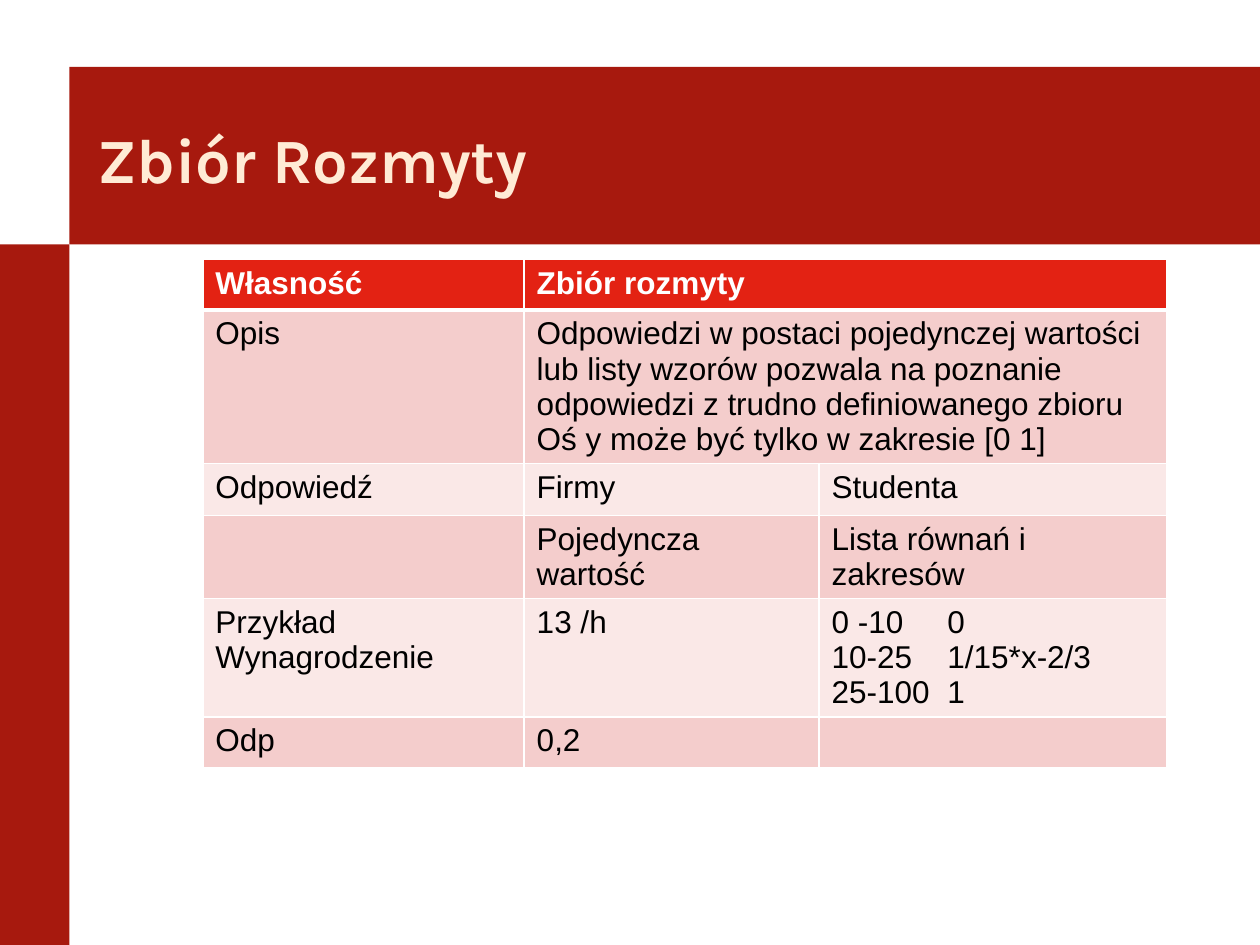
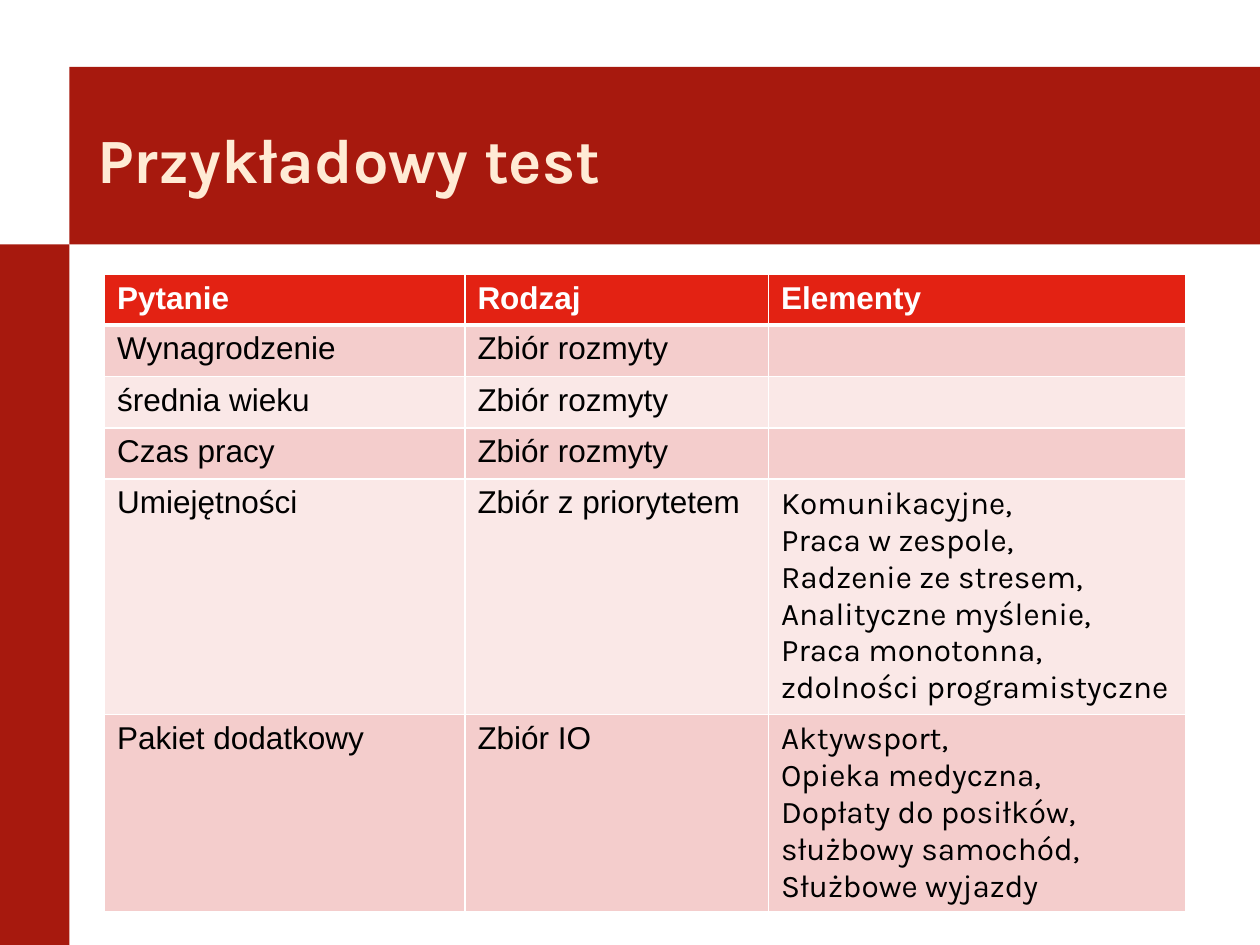
import lxml.etree
import pptx
import pptx.dml.color
import pptx.enum.shapes
import pptx.enum.text
import pptx.oxml.ns
import pptx.util

Inches = pptx.util.Inches
Pt = pptx.util.Pt
qn = pptx.oxml.ns.qn

BAND, CREAM, WHITE, BLACK = "A7190E", "FFEBD5", "FFFFFF", "000000"
HEADER, ROW_TINTS = "E32213", ("F4CDCC", "FAE8E7")
BANDS = ((0.55, 0.53, 9.45, 1.41), (0, 1.94, 0.55, 5.56))
TITLE_BOX = (0.67, 0.69, 9.21, 1.13)
TITLE_FONT = {"name": "Karla", "size": Pt(36), "bold": True}
HEADER_FONT = {"name": "Arial", "size": Pt(18), "bold": True}
BODY_FONT = {**HEADER_FONT, "bold": False}
LIST_FONT = {**BODY_FONT, "name": "Karla"}


def rgb(value):
    """Turn a hex string into a colour."""
    return pptx.dml.color.RGBColor.from_string(value)


def assign(target, values):
    """Set every attribute in values on target."""
    for name, value in values.items():
        setattr(target, name, value)


class Deck:
    """Hold the shared style and the current slide."""

    def __init__(self):
        """Start an empty 10 by 7.5 inch presentation."""
        self.presentation = pptx.Presentation()
        assign(self.presentation, {"slide_width": Inches(10), "slide_height": Inches(7.5)})
        self.slide = None

    def add_slide(self, heading):
        """Add a slide with its title and the bands behind it."""
        self.slide = self.presentation.slides.add_slide(self.presentation.slide_layouts[5])
        title = self.slide.shapes.title
        assign(title, dict(zip(("left", "top", "width", "height"), map(Inches, TITLE_BOX))))
        title.text_frame.text = heading
        assign(title.text_frame, {
            "vertical_anchor": pptx.enum.text.MSO_ANCHOR.MIDDLE,
            "auto_size": pptx.enum.text.MSO_AUTO_SIZE.NONE,
            "word_wrap": True,
        })
        self.style_text(title.text_frame, TITLE_FONT, CREAM)
        for box in BANDS:
            title.element.addprevious(self.add_band(box).element)

    def add_band(self, box):
        """Add a plain red rectangle."""
        band = self.slide.shapes.add_shape(
            pptx.enum.shapes.MSO_SHAPE.RECTANGLE, *map(Inches, box))
        band.shadow.inherit = False
        band.fill.solid()
        band.fill.fore_color.rgb = rgb(BAND)
        band.line.fill.background()
        return band

    def style_text(self, frame, font, color):
        """Left-align the text of a frame and format its runs."""
        for paragraph in frame.paragraphs:
            paragraph.alignment = pptx.enum.text.PP_ALIGN.LEFT
            for run in paragraph.runs:
                assign(run.font, font)
                run.font.color.rgb = rgb(color)

    def add_borders(self, cell, widths):
        """Draw white borders, given as points by side."""
        properties = cell._tc.get_or_add_tcPr()
        for side, width in widths.items():
            border = lxml.etree.SubElement(properties, qn(f"a:ln{side}"), w=str(Pt(width)))
            fill = lxml.etree.SubElement(border, qn("a:solidFill"))
            lxml.etree.SubElement(fill, qn("a:srgbClr"), val=WHITE)

    def add_tab_stop(self, frame, position):
        """Give each tabbed paragraph one left tab stop."""
        for paragraph in frame.paragraphs:
            if "\t" in paragraph.text:
                stops = lxml.etree.SubElement(
                    paragraph._p.get_or_add_pPr(), qn("a:tabLst"))
                lxml.etree.SubElement(
                    stops, qn("a:tab"), pos=str(Inches(position)), algn="l")

    def add_table(self, left, top, widths, heights, rows, last_column_font=BODY_FONT):
        """Add a banded table; None joins a cell to the one on its left."""
        table = self.slide.shapes.add_table(
            len(rows), len(widths), Inches(left), Inches(top),
            Inches(sum(widths)), Inches(sum(heights))).table
        for column, width in zip(table.columns, widths):
            column.width = Inches(width)
        for row, height in zip(table.rows, heights):
            row.height = Inches(height)
        for r, texts in enumerate(rows):
            for c, text in enumerate(texts):
                cell = table.cell(r, c)
                self.add_borders(cell, {"L": 1, "R": 1, "T": 3 if r == 1 else 1,
                                        "B": 3 if r == 0 else 1})
                cell.fill.solid()
                cell.fill.fore_color.rgb = rgb(ROW_TINTS[(r - 1) % 2] if r else HEADER)
                if text is None:
                    table.cell(r, c - 1).merge(cell)
                    continue
                cell.text_frame.text = text
                body_font = last_column_font if c == len(widths) - 1 else BODY_FONT
                self.style_text(cell.text_frame, body_font if r else HEADER_FONT,
                                BLACK if r else WHITE)
                self.add_tab_stop(cell.text_frame, 0.92)


FUZZY_SET = [
    ("Własność", "Zbiór rozmyty", None),
    ("Opis", "Odpowiedzi w postaci pojedynczej wartości lub listy wzorów pozwala na "
             "poznanie odpowiedzi z trudno definiowanego zbioru\n"
             "Oś y może być tylko w zakresie [0 1]", None),
    ("Odpowiedź", "Firmy", "Studenta"),
    ("", "Pojedyncza wartość", "Lista równań i zakresów"),
    ("Przykład Wynagrodzenie", "13 /h", "0 -10\t0\n10-25\t1/15*x-2/3\n25-100\t1"),
    ("Odp", "0,2", ""),
]
SAMPLE_TEST = [
    ("Pytanie", "Rodzaj", "Elementy"),
    *((question, "Zbiór rozmyty", "")
      for question in ("Wynagrodzenie", "średnia wieku", "Czas pracy")),
    ("Umiejętności", "Zbiór z priorytetem",
     "Komunikacyjne,\nPraca w zespole,\nRadzenie ze stresem,\n"
     "Analityczne myślenie, Praca monotonna, zdolności programistyczne"),
    ("Pakiet dodatkowy", "Zbiór IO",
     "Aktywsport,\nOpieka medyczna,\nDopłaty do posiłków, służbowy samochód,\n"
     "Służbowe wyjazdy"),
]


def main():
    """Build both slides and save them."""
    deck = Deck()
    deck.add_slide("Zbiór Rozmyty")
    deck.add_table(1.61, 2.06, (2.55, 2.34, 2.76),
                   (0.4, 1.22, 0.41, 0.66, 0.94, 0.4), FUZZY_SET)
    deck.add_slide("Przykładowy test")
    deck.add_table(0.83, 2.18, (2.86, 2.41, 3.31),
                   (0.4, 0.41, 0.4, 0.4, 1.87, 1.56), SAMPLE_TEST, LIST_FONT)
    deck.presentation.save("out.pptx")


if __name__ == "__main__":
    main()
